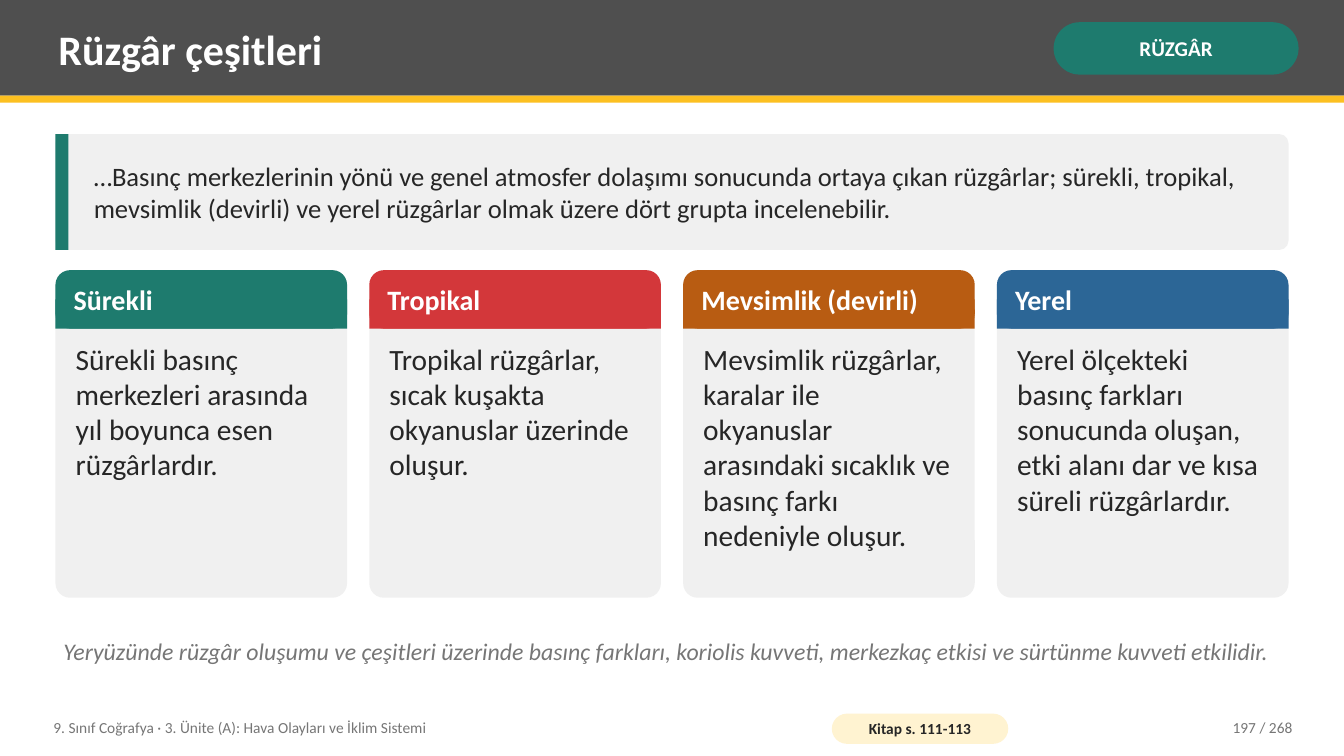
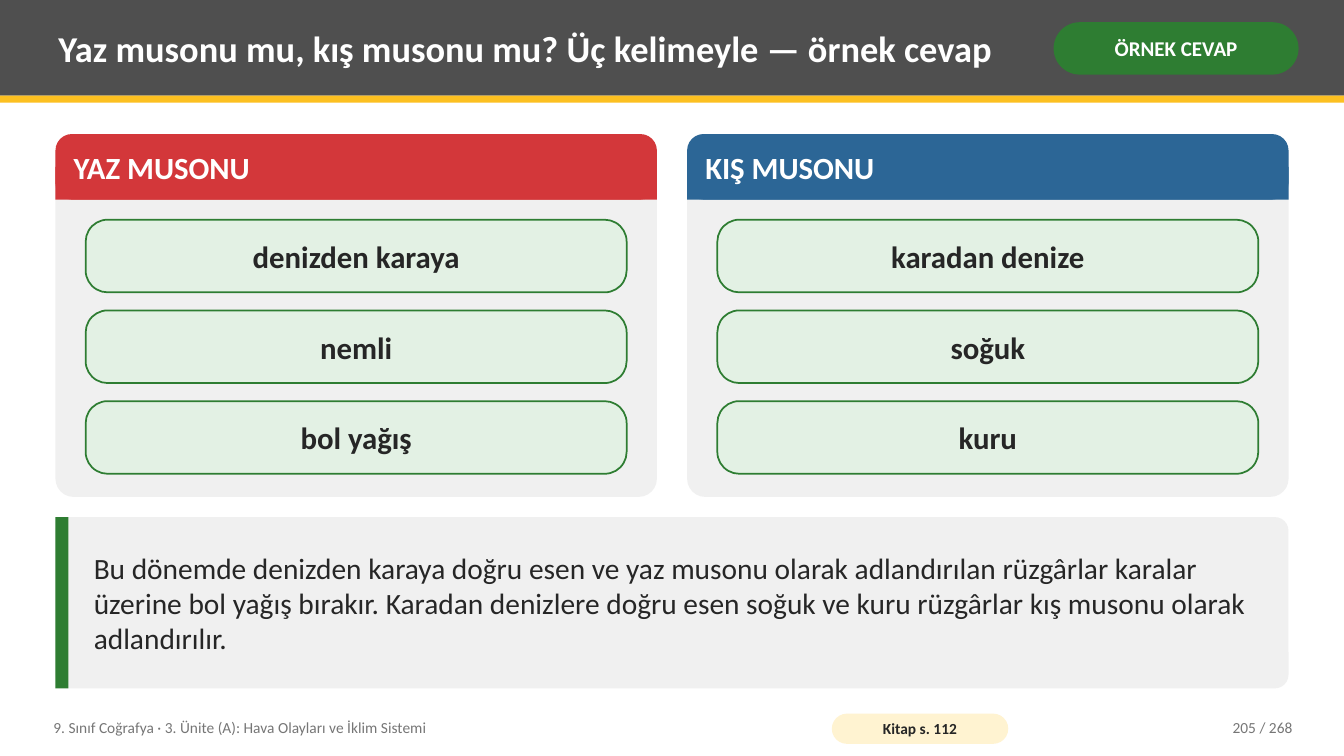
import pptx
import pptx.dml.color
import pptx.enum.shapes
import pptx.enum.text
import pptx.util

Inches = pptx.util.Inches
KIND = pptx.enum.shapes.MSO_SHAPE
ALIGN = pptx.enum.text.PP_ALIGN
ANCHOR = pptx.enum.text.MSO_ANCHOR

HEX = {
    "white": "FFFFFF", "band": "4F4F4F", "gold": "FCC021", "cream": "FFF3D1",
    "panel": "F0F0F0", "ink": "262626", "gray": "767676", "teal": "1E7B6E",
    "red": "D3373A", "rust": "B85C12", "blue": "2C6696", "green": "2E7D32",
    "mint": "E3F1E4",
}
WIDE, HIGH = 13.33, 7.5
LEFT, SPAN = 0.55, 12.23
TOP = 1.33
TOTAL = 268
UNIT = "9. Sınıf Coğrafya · 3. Ünite (A): Hava Olayları ve İklim Sistemi"


def color(name):
    return pptx.dml.color.RGBColor.from_string(HEX[name])


def write(shape, text, size, ink="ink", align=ALIGN.LEFT, anchor=ANCHOR.MIDDLE,
          pad=(0.08, 0.04), **style):
    """Fill a shape with one paragraph; style holds extra font values."""
    frame = shape.text_frame
    side, edge = map(Inches, pad)
    layout = {"word_wrap": True, "vertical_anchor": anchor,
              "margin_left": side, "margin_right": side,
              "margin_top": edge, "margin_bottom": edge}
    for key, value in layout.items():
        setattr(frame, key, value)
    para = frame.paragraphs[0]
    para.alignment = align
    run = para.add_run()
    run.text = text
    font = {"name": "Calibri", "size": pptx.util.Pt(size), **style}
    for key, value in font.items():
        setattr(run.font, key, value)
    run.font.color.rgb = color(ink)


def label(slide, box, text, size, **style):
    shape = slide.shapes.add_textbox(*map(Inches, box))
    write(shape, text, size, **style)


def block(slide, box, fill, bend=None, line=None):
    """Add a filled rectangle, rounded when bend is given."""
    kind = KIND.RECTANGLE if bend is None else KIND.ROUNDED_RECTANGLE
    shape = slide.shapes.add_shape(kind, *map(Inches, box))
    shape.shadow.inherit = False
    if bend is not None:
        shape.adjustments[0] = bend
    shape.fill.solid()
    shape.fill.fore_color.rgb = color(fill)
    if line:
        shape.line.color.rgb = color(line)
        shape.line.width = pptx.util.Pt(1.25)
    else:
        shape.line.fill.background()
    return shape


def pill(slide, box, text, size, fill, bend=0.5, line=None, **style):
    shape = block(slide, box, fill, bend, line)
    write(shape, text, size, align=ALIGN.CENTER, bold=True, **style)


def header(slide, title, size, tag, hue):
    block(slide, (0, 0, WIDE, 0.95), "band")
    block(slide, (0, 0.95, WIDE, 0.07), "gold")
    label(slide, (0.5, 0.07, 9.75, 0.82), title, size, ink="white", bold=True)
    pill(slide, (10.45, 0.22, 2.43, 0.52), tag, 15, hue, ink="white",
         pad=(0.05, 0.02))


def footer(slide, pages, number):
    label(slide, (0.45, 7.04, 7.6, 0.36), UNIT, 11, ink="gray")
    pill(slide, (8.25, 7.08, 1.75, 0.3), f"Kitap s. {pages}", 11, "cream",
         pad=(0.04, 0))
    label(slide, (11.3, 7.04, 1.6, 0.36), f"{number} / {TOTAL}", 11,
          ink="gray", align=ALIGN.RIGHT)


def quote(slide, box, text, size, hue):
    x, y, w, h = box
    block(slide, box, "panel", 0.08)
    block(slide, (x, y, 0.13, h), hue)
    label(slide, (x + 0.3, y, w - 0.45, h), text, size)


def card(slide, box, head, title, size, hue):
    """Draw a panel with a header, rounded only on top, of height head."""
    x, y, w, h = box
    block(slide, box, "panel", 0.05)
    block(slide, (x, y, w, head), hue, 0.25)
    block(slide, (x, y + head / 2, w, head / 2), hue)
    label(slide, (x + 0.1, y, w - 0.2, head), title, size, ink="white", bold=True)


def split(box, count, gap):
    """Yield count equal columns of a box."""
    x, y, w, h = box
    part = (w - gap * (count - 1)) / count
    for i in range(count):
        yield x + i * (part + gap), y, part, h


def kinds(slide, box, items):
    head = 0.58
    for (x, y, w, h), (title, hue, text) in zip(split(box, len(items), 0.22), items):
        card(slide, (x, y, w, h), head, title, 20, hue)
        label(slide, (x + 0.12, y + head + 0.08, w - 0.24, h - head - 0.16),
              text, 21, anchor=ANCHOR.TOP)


def words(slide, box, items):
    head, tall, gap = 0.65, 0.72, 0.18
    for (x, y, w, h), (title, hue, terms) in zip(split(box, len(items), 0.3), items):
        card(slide, (x, y, w, h), head, title, 22, hue)
        for i, term in enumerate(terms):
            spot = (x + 0.3, y + head + 0.2 + i * (tall + gap), w - 0.6, tall)
            pill(slide, spot, term, 22, "mint", 0.3, "green", pad=(0.06, 0))


def winds(slide):
    header(slide, "Rüzgâr çeşitleri", 30, "RÜZGÂR", "teal")
    quote(slide, (LEFT, TOP, SPAN, 1.15),
          "…Basınç merkezlerinin yönü ve genel atmosfer dolaşımı sonucunda ortaya "
          "çıkan rüzgârlar; sürekli, tropikal, mevsimlik (devirli) ve yerel "
          "rüzgârlar olmak üzere dört grupta incelenebilir.", 19, "teal")
    kinds(slide, (LEFT, 2.68, SPAN, 3.25), [
        ("Sürekli", "teal",
         "Sürekli basınç merkezleri arasında yıl boyunca esen rüzgârlardır."),
        ("Tropikal", "red",
         "Tropikal rüzgârlar, sıcak kuşakta okyanuslar üzerinde oluşur."),
        ("Mevsimlik (devirli)", "rust",
         "Mevsimlik rüzgârlar, karalar ile okyanuslar arasındaki sıcaklık ve "
         "basınç farkı nedeniyle oluşur."),
        ("Yerel", "blue",
         "Yerel ölçekteki basınç farkları sonucunda oluşan, etki alanı dar ve "
         "kısa süreli rüzgârlardır."),
    ])
    label(slide, (LEFT, 6.08, SPAN, 0.75),
          "Yeryüzünde rüzgâr oluşumu ve çeşitleri üzerinde basınç farkları, "
          "koriolis kuvveti, merkezkaç etkisi ve sürtünme kuvveti etkilidir.",
          17, ink="gray", italic=True)
    footer(slide, "111-113", 197)


def monsoon(slide):
    header(slide, "Yaz musonu mu, kış musonu mu? Üç kelimeyle — örnek cevap", 26,
           "ÖRNEK CEVAP", "green")
    words(slide, (LEFT, TOP, SPAN, 3.6), [
        ("YAZ MUSONU", "red", ["denizden karaya", "nemli", "bol yağış"]),
        ("KIŞ MUSONU", "blue", ["karadan denize", "soğuk", "kuru"]),
    ])
    quote(slide, (LEFT, 5.13, SPAN, 1.7),
          "Bu dönemde denizden karaya doğru esen ve yaz musonu olarak adlandırılan "
          "rüzgârlar karalar üzerine bol yağış bırakır. Karadan denizlere doğru "
          "esen soğuk ve kuru rüzgârlar kış musonu olarak adlandırılır.",
          21, "green")
    footer(slide, "112", 205)


def main():
    deck = pptx.Presentation()
    deck.slide_width, deck.slide_height = Inches(WIDE), Inches(HIGH)
    for build in (winds, monsoon):
        build(deck.slides.add_slide(deck.slide_layouts[6]))
    deck.save("out.pptx")


if __name__ == "__main__":
    main()
